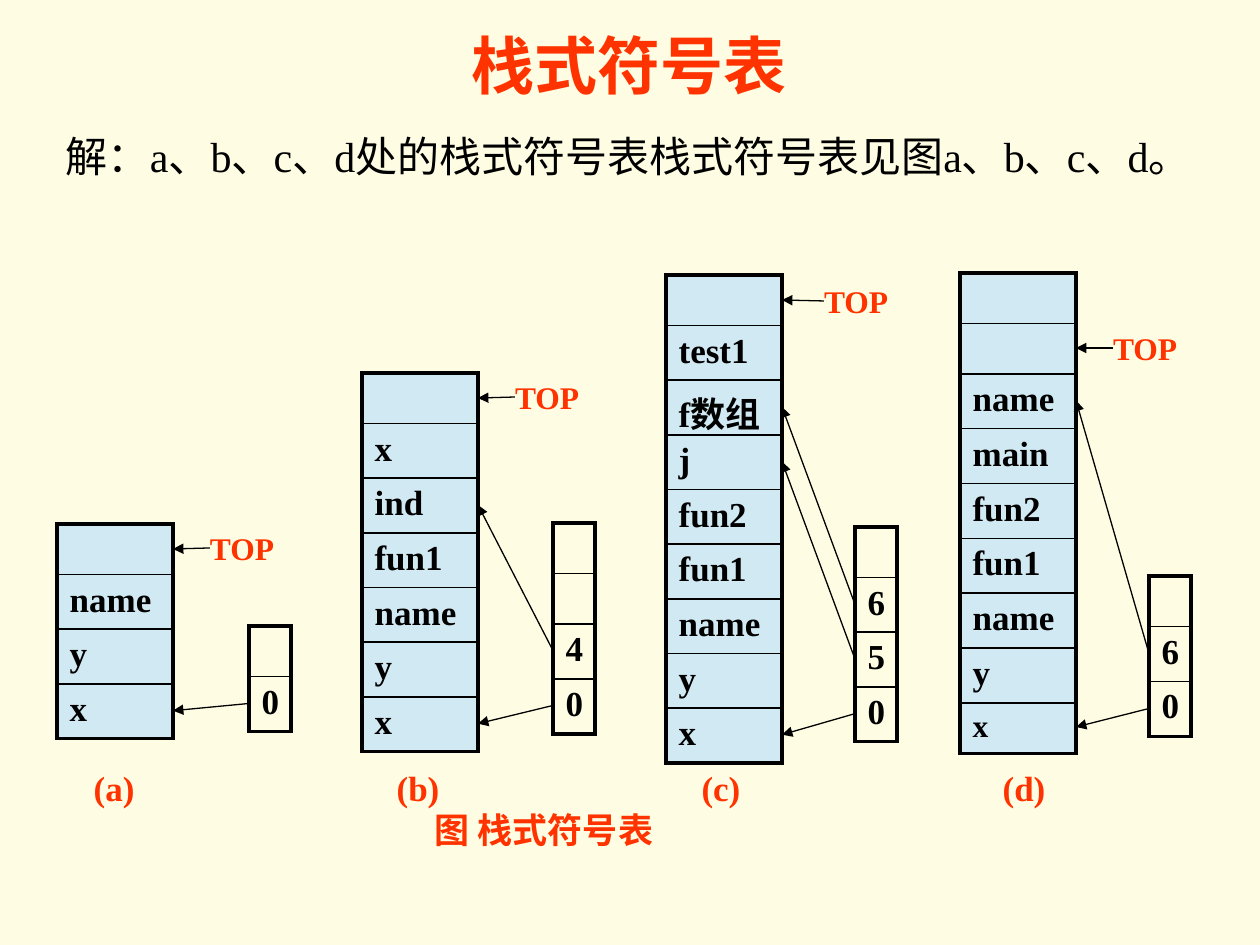
import itertools
from dataclasses import dataclass

import lxml.etree
import pptx
import pptx.dml.color
import pptx.enum.shapes
import pptx.enum.text
import pptx.oxml.ns
import pptx.util

ALIGN = pptx.enum.text.PP_ALIGN
ANCHOR = pptx.enum.text.MSO_ANCHOR
SCALE = pptx.util.Inches(1) / 126
qn = pptx.oxml.ns.qn


@dataclass(frozen=True)
class Theme:
    paper: str = "FEFDE3"
    stack: str = "D1E9F2"
    ink: str = "000000"
    accent: str = "FF3300"
    latin: str = "Times New Roman"
    chinese: str = "Noto Sans CJK SC"
    title: int = 36
    body: int = 24
    cell: int = 20
    small: int = 18
    outer: float = 2.25
    inner: float = 1
    arrow: float = 0.75


THEME = Theme()
EMPTY_ROW = 50


@dataclass(frozen=True)
class Column:
    left: int
    top: int
    width: int
    height: int
    entries: tuple[str, ...]
    fill: str
    small_last: bool = False

    def is_short(self, row: int) -> bool:
        last = row == len(self.entries) - 1
        return not self.entries[row] or (self.small_last and last)

    def row_heights(self) -> list[float]:
        short = [self.is_short(row) for row in range(len(self.entries))]
        tall = (self.height - EMPTY_ROW * sum(short)) / short.count(False)
        return [EMPTY_ROW if flag else tall for flag in short]

    def row_middle(self, row: int) -> float:
        heights = self.row_heights()
        return self.top + sum(heights[:row]) + heights[row] / 2


@dataclass(frozen=True)
class Panel:
    label: str
    label_centre: int
    symbols: Column
    index: Column
    top_left: int
    top_y: int
    top_row: int = 0


def symbol_column(left: int, top: int, height: int, entries: tuple[str, ...],
                  small_last: bool = False) -> Column:
    return Column(left, top, 116, height, entries, THEME.stack, small_last)


def index_column(left: int, top: int, height: int, entries: tuple[str, ...]) -> Column:
    return Column(left, top, 42, height, entries, THEME.paper)


PANELS = (
    Panel("(a)", 114, symbol_column(57, 524, 214, ("", "name", "y", "x")),
          index_column(249, 626, 105, ("", "0")), 210, 529),
    Panel("(b)", 418, symbol_column(362, 373, 378, ("", "x", "ind", "fun1", "name", "y", "x")),
          index_column(553, 523, 210, ("", "", "4", "0")), 515, 378),
    Panel("(c)", 721, symbol_column(666, 275, 487, ("", "test1", "f数组", "j", "fun2", "fun1",
                                                    "name", "y", "x")),
          index_column(855, 527, 214, ("", "6", "5", "0")), 824, 282),
    Panel("(d)", 1024, symbol_column(960, 273, 479, ("", "", "name", "main", "fun2", "fun1",
                                                     "name", "y", "x"), True),
          index_column(1149, 576, 160, ("", "6", "0")), 1113, 329, 1),
)


def px(length: float) -> pptx.util.Emu:
    return pptx.util.Emu(round(length * SCALE))


def colour(value: str) -> pptx.dml.color.RGBColor:
    return pptx.dml.color.RGBColor.from_string(value)


def style_span(span, size: int, tint: str, bold: bool, font: str = THEME.latin) -> None:
    span.font.name = font
    span.font.size = pptx.util.Pt(size)
    span.font.bold = bold
    span.font.color.rgb = colour(tint)


def add_text(page, text: str, left: int, top: int, width: int, height: int, size: int,
             tint: str = THEME.accent, bold: bool = True, align=ALIGN.CENTER,
             anchor=ANCHOR.MIDDLE, inset: tuple[int, int] = (0, 0)) -> None:
    box = page.shapes.add_textbox(px(left), px(top), px(width), px(height))
    frame = box.text_frame
    frame.word_wrap = True
    frame.vertical_anchor = anchor
    frame.margin_left = frame.margin_right = px(inset[0])
    frame.margin_top = frame.margin_bottom = px(inset[1])
    frame.text = text
    para = frame.paragraphs[0]
    para.alignment = align
    style_span(para.runs[0], size, tint, bold)


def add_arrow(page, start: tuple[float, float], end: tuple[float, float]) -> None:
    arrow = page.shapes.add_connector(pptx.enum.shapes.MSO_CONNECTOR.STRAIGHT,
                                      *map(px, start + end))
    arrow.line.color.rgb = colour(THEME.ink)
    arrow.line.width = pptx.util.Pt(THEME.arrow)
    line = arrow.line._get_or_add_ln()
    lxml.etree.SubElement(line, qn("a:tailEnd"), type="triangle")
    lxml.etree.SubElement(arrow._element.spPr, qn("a:effectLst"))


def set_borders(cell, first: bool, last: bool) -> None:
    widths = {"L": THEME.outer, "R": THEME.outer,
              "T": THEME.outer if first else THEME.inner,
              "B": THEME.outer if last else THEME.inner}
    properties = cell._tc.get_or_add_tcPr()
    for side, width in widths.items():
        line = lxml.etree.SubElement(properties, qn(f"a:ln{side}"), w=str(pptx.util.Pt(width)))
        fill = lxml.etree.SubElement(line, qn("a:solidFill"))
        lxml.etree.SubElement(fill, qn("a:srgbClr"), val=THEME.ink)


def write_cell(cell, text: str, size: int) -> None:
    para = cell.text_frame.paragraphs[0]
    para.alignment = ALIGN.JUSTIFY
    for is_latin, letters in itertools.groupby(text, str.isascii):
        span = para.add_run()
        span.text = "".join(letters)
        style_span(span, size, THEME.ink, True, THEME.latin if is_latin else THEME.chinese)


def add_column(page, column: Column) -> None:
    count = len(column.entries)
    table = page.shapes.add_table(count, 1, px(column.left), px(column.top),
                                  px(column.width), px(column.height)).table
    table.first_row = table.horz_banding = False
    for row, (text, height) in enumerate(zip(column.entries, column.row_heights())):
        table.rows[row].height = px(height)
        cell = table.cell(row, 0)
        set_borders(cell, row == 0, row == count - 1)
        cell.fill.solid()
        cell.fill.fore_color.rgb = colour(column.fill)
        write_cell(cell, text, THEME.small if column.is_short(row) else THEME.cell)


def add_panel(page, panel: Panel) -> None:
    symbols, index = panel.symbols, panel.index
    add_column(page, symbols)
    add_column(page, index)
    right = symbols.left + symbols.width

    # Each index counts symbols upward from the bottom of the stack
    for row, number in enumerate(index.entries):
        if number:
            target = len(symbols.entries) - 1 - int(number)
            add_arrow(page, (index.left, index.row_middle(row)),
                      (right, symbols.row_middle(target)))

    # Stack top pointer
    add_text(page, "TOP", panel.top_left, panel.top_y, 94, 38, THEME.small,
             align=ALIGN.LEFT, anchor=ANCHOR.TOP)
    add_arrow(page, (panel.top_left, panel.top_y + 19),
              (right, symbols.row_middle(panel.top_row)))
    add_text(page, panel.label, panel.label_centre - 40, 768, 80, 40, THEME.cell)


# Page
deck = pptx.Presentation()
deck.slide_width, deck.slide_height = px(1260), px(945)
page = deck.slides.add_slide(deck.slide_layouts[6])
page.background.fill.solid()
page.background.fill.fore_color.rgb = colour(THEME.paper)

# Heading and answer
add_text(page, "栈式符号表", 94, 33, 1071, 63, THEME.title)
add_text(page, "解：a、b、c、d处的栈式符号表栈式符号表见图a、b、c、d。", 53, 125, 1155, 113,
         THEME.body, THEME.ink, False, ALIGN.LEFT, ANCHOR.TOP, (13, 6))

# Four stack states and the caption
for panel in PANELS:
    add_panel(page, panel)
add_text(page, "图 栈式符号表", 394, 808, 300, 42, THEME.cell)

deck.save("out.pptx")
